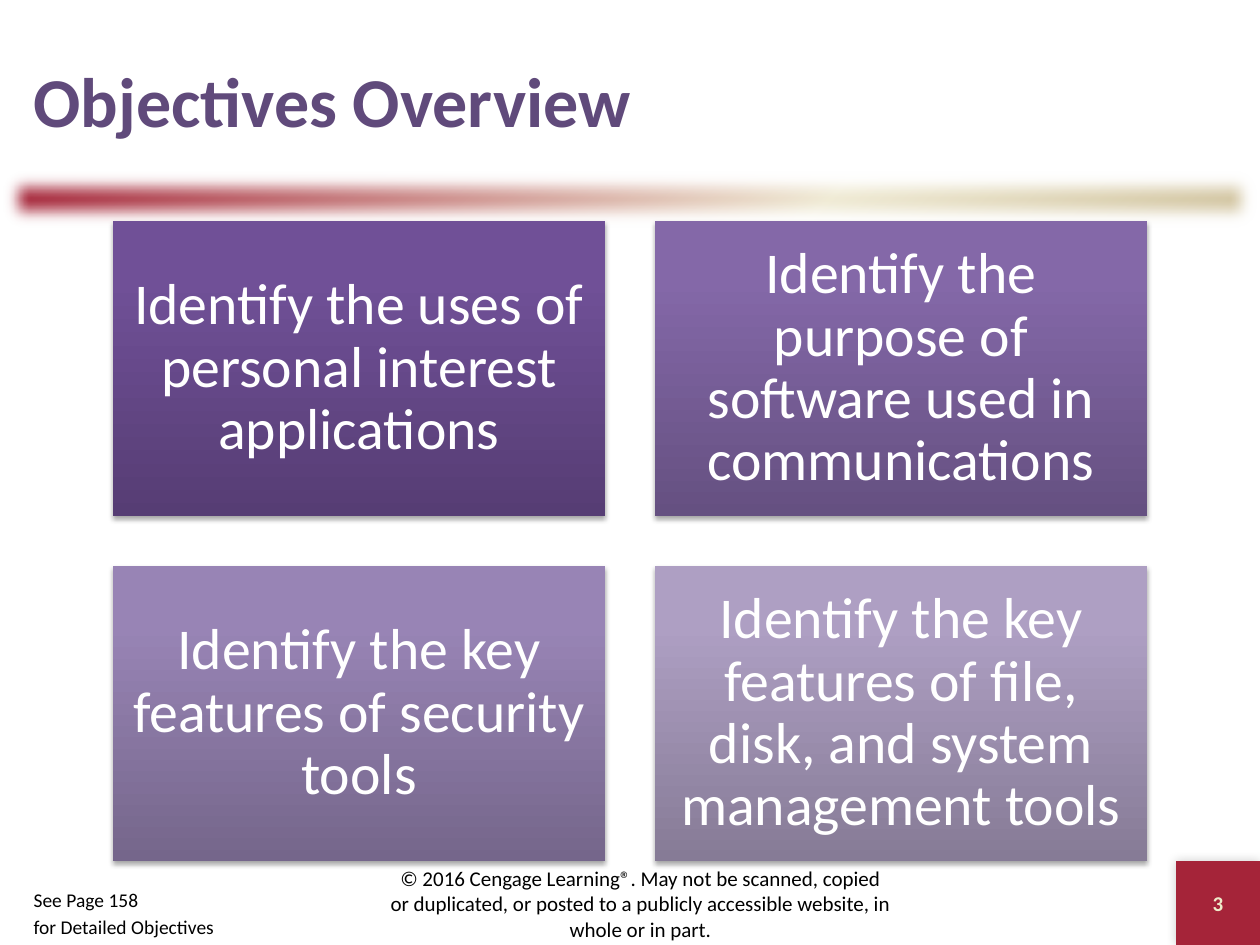
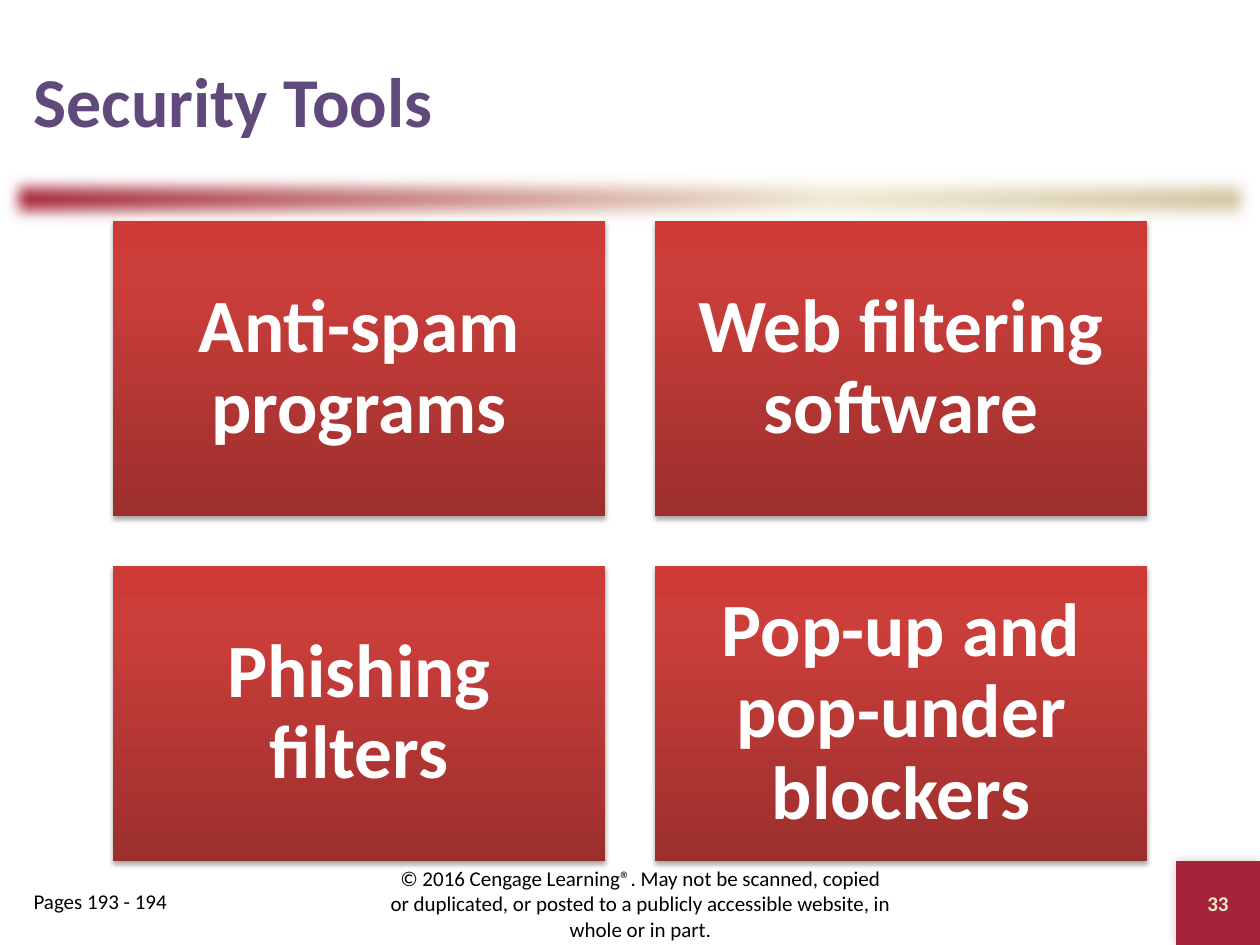
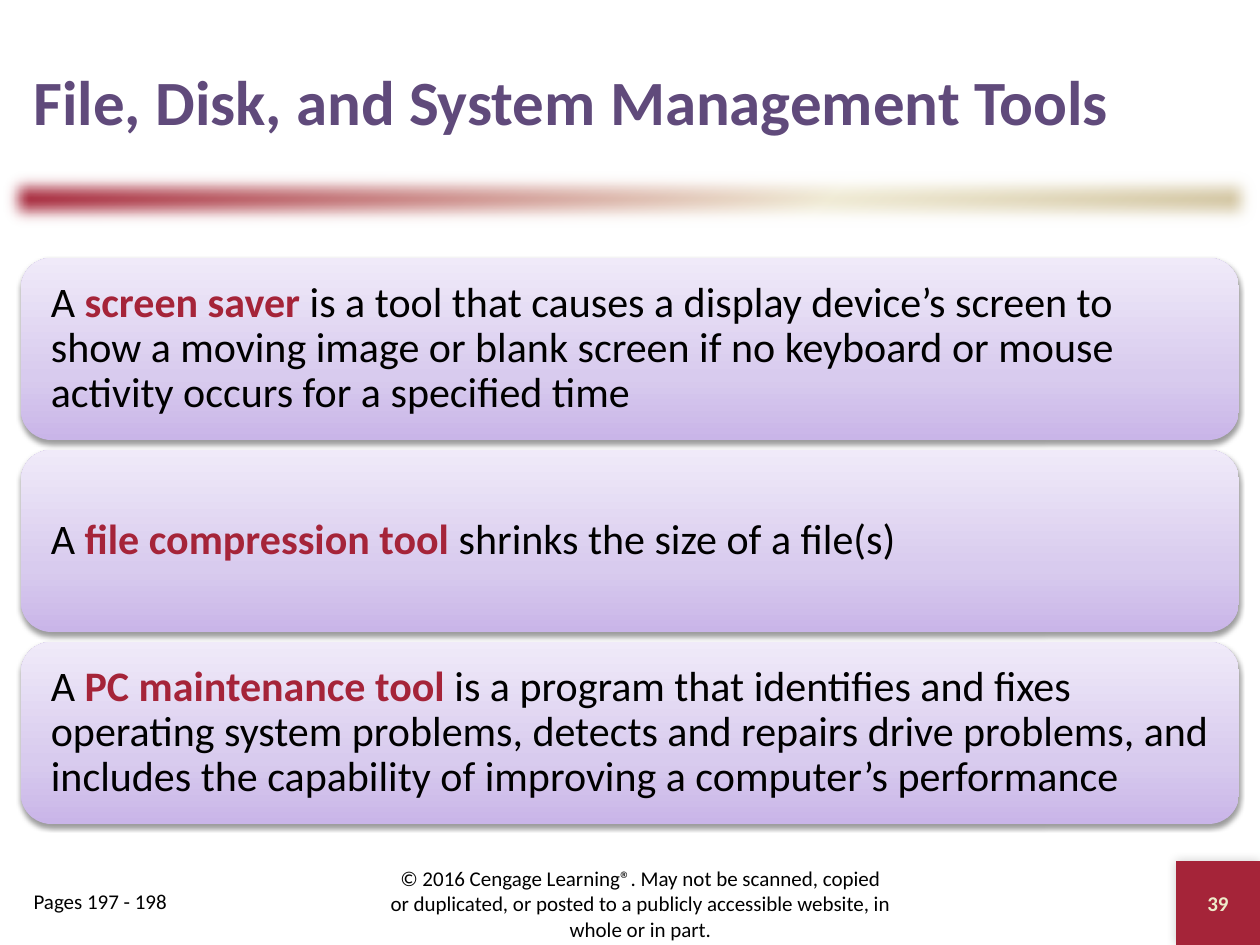
from lxml.etree import SubElement
from pptx import Presentation
from pptx.dml.color import RGBColor
from pptx.enum.shapes import MSO_SHAPE
from pptx.enum.text import MSO_ANCHOR, MSO_AUTO_SIZE, PP_ALIGN
from pptx.oxml.ns import qn
from pptx.util import Emu, Pt

PX_PER_INCH = 126
WIDTH, HEIGHT = 1260, 945

CRIMSON = RGBColor(0xA5, 0x24, 0x39)
CREAM = RGBColor(0xEE, 0xEB, 0xCA)
PLUM = RGBColor(0x60, 0x4A, 0x7B)
BLACK = RGBColor(0, 0, 0)
WHITE = RGBColor(0xFF, 0xFF, 0xFF)


def stops(*pairs):
    return [(pos, RGBColor.from_string(color)) for pos, color in pairs]


BAND = stops((0, "A52439"), (65, "F0EBD5"), (100, "D1C39F"))
LILAC = stops((0, "C9B5E8"), (35, "D8CBEE"), (100, "F0EAF9"))
RED = stops((0, "9C2F2D"), (80, "CB3E3A"), (100, "CE3B37"))
PURPLES = [
    stops((0, "563D74"), (80, "705097"), (100, "704F99")),
    stops((0, "655081"), (80, "8468A8"), (100, "8467AA")),
    stops((0, "75668B"), (80, "9884B5"), (100, "9984B7")),
    stops((0, "867B96"), (80, "AE9FC3"), (100, "AE9FC4")),
]

COPYRIGHT = ("© 2016 Cengage Learning®. May not be scanned, copied or duplicated, "
             "or posted to a publicly accessible website, in whole or in part.")


def px(n):
    return Emu(round(n * 914400 / PX_PER_INCH))


class Deck:
    font = "Calibri"

    def __init__(self):
        self.prs = Presentation()
        self.prs.slide_width, self.prs.slide_height = px(WIDTH), px(HEIGHT)
        self.s = None

    def new_slide(self, title, number, pages, title_size=40, pages_size=12):
        self.s = self.prs.slides.add_slide(self.prs.slide_layouts[1])
        self.band()
        self.title(title, title_size)
        self.page_number(number)
        self.page_reference(pages, pages_size)
        self.copyright()

    def shape(self, kind, x, y, w, h):
        sp = self.s.shapes.add_shape(kind, px(x), px(y), px(w), px(h))
        sp.line.fill.background()
        sp.shadow.inherit = False
        return sp

    def style(self, p, size, color, bold=False):
        for r in p.runs:
            r.font.name, r.font.size, r.font.bold = self.font, Pt(size), bold
            r.font.color.rgb = color

    def frame(self, sp, inset=None):
        """Prepare a wrapping, vertically centred text frame."""
        tf = sp.text_frame
        tf.word_wrap = True
        tf.auto_size = MSO_AUTO_SIZE.NONE
        tf.vertical_anchor = MSO_ANCHOR.MIDDLE
        if inset is not None:
            tf.margin_left = tf.margin_top = px(inset)
            tf.margin_right = tf.margin_bottom = px(inset)
        return tf

    def gradient(self, sp, colors, angle):
        """Fill with any number of stops; the angle is counter-clockwise."""
        sp.fill.gradient()
        sp.fill.gradient_angle = angle
        gs_lst = sp.element.spPr.find(qn("a:gradFill")).find(qn("a:gsLst"))
        for gs in list(gs_lst):
            gs_lst.remove(gs)
        for pos, color in colors:
            gs = SubElement(gs_lst, qn("a:gs"), pos=str(pos * 1000))
            SubElement(gs, qn("a:srgbClr"), val=str(color))

    def effect(self, sp, tag, **attrs):
        effects = sp.element.spPr.find(qn("a:effectLst"))
        return SubElement(effects, qn(tag), {k: str(v) for k, v in attrs.items()})

    def shadow(self, sp, opacity, blur, dist, direction):
        shadow = self.effect(sp, "a:outerShdw", blurRad=Pt(blur), dist=Pt(dist),
                             dir=direction * 60000, rotWithShape=0)
        color = SubElement(shadow, qn("a:srgbClr"), val=str(BLACK))
        SubElement(color, qn("a:alpha"), val=str(opacity * 1000))

    def place(self, sp, x, y, w, h):
        sp.left, sp.top, sp.width, sp.height = px(x), px(y), px(w), px(h)

    def band(self):
        sp = self.shape(MSO_SHAPE.RECTANGLE, 0, 168, WIDTH, 63)
        self.gradient(sp, BAND, 315)
        self.effect(sp, "a:softEdge", rad=Pt(10))

    def title(self, text, size):
        sp = self.s.shapes.title
        self.place(sp, 21, 21, 1218, 158)
        tf = self.frame(sp)
        tf.text = text
        p = tf.paragraphs[0]
        p.alignment = PP_ALIGN.LEFT
        self.style(p, size, PLUM, True)

    def page_number(self, number):
        side = 84
        sp = self.shape(MSO_SHAPE.RECTANGLE, WIDTH - side, HEIGHT - side, side, side)
        sp.fill.solid()
        sp.fill.fore_color.rgb = CRIMSON
        self.shadow(sp, 20, 6, 0, 225)
        tf = self.frame(sp)
        tf.text = str(number)
        tf.paragraphs[0].alignment = PP_ALIGN.CENTER
        self.style(tf.paragraphs[0], 12, CREAM, True)

    def page_reference(self, lines, size):
        sp = self.s.placeholders[1]
        self.place(sp, 21, 882, 231, 63)
        tf = self.frame(sp)
        tf.vertical_anchor = MSO_ANCHOR.TOP
        tf.text = "\n".join(lines)
        for i, p in enumerate(tf.paragraphs):
            pPr = p._p.get_or_add_pPr()
            pPr.set("marL", "0")
            pPr.set("indent", "0")
            SubElement(pPr, qn("a:buNone"))
            p.space_before = Pt(2 if i else 0)
            self.style(p, size, BLACK)

    def copyright(self):
        sp = self.s.shapes.add_textbox(px(378), px(872), px(525), px(63))
        tf = self.frame(sp)
        tf.text = COPYRIGHT
        tf.paragraphs[0].alignment = PP_ALIGN.CENTER
        self.style(tf.paragraphs[0], 12, BLACK)

    def cards(self, texts, fills, size, inset, bold=False):
        """Lay out cards in two columns."""
        w, h, gap = 492, 295, 50
        for i, (text, fill) in enumerate(zip(texts, fills)):
            row, col = divmod(i, 2)
            sp = self.shape(MSO_SHAPE.RECTANGLE, 113 + col * (w + gap),
                            221 + row * (h + gap), w, h)
            self.gradient(sp, fill, 90)
            self.shadow(sp, 35, 3.1, 1.8, 90)
            tf = self.frame(sp, inset)
            tf.text = text
            p = tf.paragraphs[0]
            p.alignment, p.line_spacing = PP_ALIGN.CENTER, 0.9
            self.style(p, size, WHITE, bold)

    def definitions(self, items):
        """Stack full-width panels, each with a highlighted term."""
        h, gap = 182, 10
        for i, (term, meaning) in enumerate(items):
            sp = self.shape(MSO_SHAPE.ROUNDED_RECTANGLE, 21, 258 + i * (h + gap), 1218, h)
            self.gradient(sp, LILAC, 90)
            self.shadow(sp, 38, 3.1, 1.6, 90)
            p = self.frame(sp, 21).paragraphs[0]
            p.alignment, p.line_spacing = PP_ALIGN.LEFT, 0.9
            for text in ("A ", term + " ", meaning):
                p.add_run().text = text
            self.style(p, 24, BLACK)
            p.runs[1].font.bold = True
            p.runs[1].font.color.rgb = CRIMSON


def main():
    deck = Deck()

    deck.new_slide("Objectives Overview", 3,
                   ["See Page 158", "for Detailed Objectives"], pages_size=11.1)
    deck.cards(["Identify the uses of personal interest applications",
                "Identify the purpose of software used in communications",
                "Identify the key features of security tools",
                "Identify the key features of file, disk, and system management tools"],
               PURPLES, 33, 18)

    deck.new_slide("Security Tools", 33, ["Pages 193 - 194"])
    deck.cards(["Anti-spam programs", "Web filtering software",
                "Phishing filters", "Pop-up and pop-under blockers"],
               [RED] * 4, 43, 23, bold=True)

    deck.new_slide("File, Disk, and System Management Tools", 39,
                   ["Pages 197 - 198"], title_size=36)
    deck.definitions([
        ("screen saver",
         "is a tool that causes a display device’s screen to show a moving image "
         "or blank screen if no keyboard or mouse activity occurs for a specified time"),
        ("file compression tool", "shrinks the size of a file(s)"),
        ("PC maintenance tool",
         "is a program that identifies and fixes operating system problems, detects "
         "and repairs drive problems, and includes the capability of improving "
         "a computer’s performance"),
    ])

    deck.prs.save("out.pptx")


if __name__ == "__main__":
    main()
